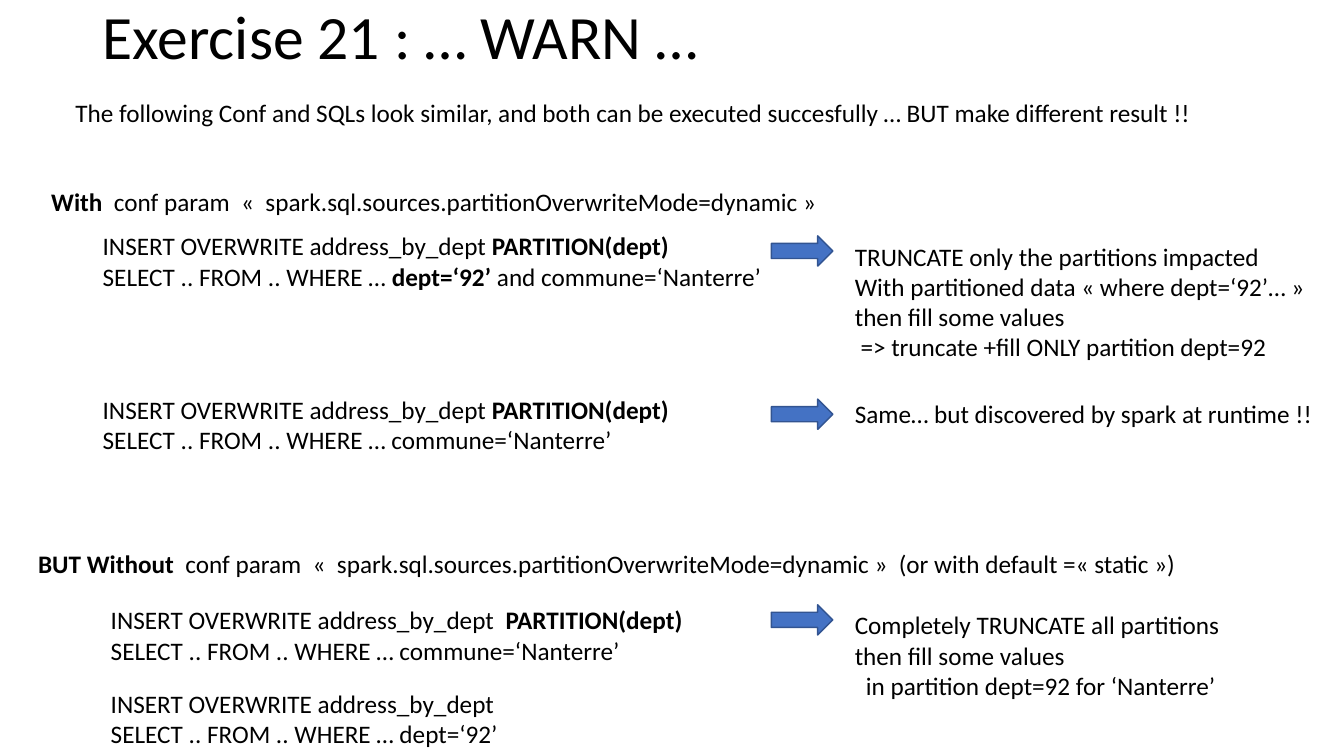
from pptx import Presentation
from pptx.dml.color import RGBColor
from pptx.enum.shapes import MSO_SHAPE
from pptx.enum.text import MSO_ANCHOR, MSO_AUTO_SIZE
from pptx.util import Inches, Pt

BLACK = RGBColor(0x00, 0x00, 0x00)
BLUE = RGBColor(0x44, 0x72, 0xC4)
DARK_BLUE = RGBColor(0x32, 0x54, 0x91)
ARROW = MSO_SHAPE.RIGHT_ARROW
MIDDLE = MSO_ANCHOR.MIDDLE
FIT_SHAPE = MSO_AUTO_SIZE.SHAPE_TO_FIT_TEXT

BODY = {"name": "Calibri", "size": Pt(18)}
TITLE = {"name": "Calibri", "size": Pt(44)}

INTRO = ("The following Conf and SQLs look similar, and both can be executed "
         "succesfully … BUT make different result !!")
CONF = "  conf param  «  spark.sql.sources.partitionOverwriteMode=dynamic »"
INSERT = "INSERT OVERWRITE address_by_dept"
SELECT = "SELECT .. FROM .. WHERE … "
BY_COMMUNE = SELECT + "commune=‘Nanterre’"

QUERIES = [
    (0.92, 2.24, 7.11, f"{INSERT} **PARTITION(dept)**\n"
                       f"{SELECT}**dept=‘92’** and commune=‘Nanterre’"),
    (0.92, 3.86, 7.11, f"{INSERT} **PARTITION(dept)**\n{BY_COMMUNE}"),
    (1, 5.95, 7.03, f"{INSERT}  **PARTITION(dept)**\n{BY_COMMUNE}"),
    (1, 6.78, 7.03, f"{INSERT}\n{SELECT}dept=‘92’"),
]
HEADINGS = [
    (0.65, 0.92, 11.34, INTRO),
    (0.41, 1.8, 7.86, f"**With**{CONF}"),
    (0.28, 5.39, 11.56, f"**BUT Without**{CONF}  (or with default =« static »)"),
]
RESULTS = [
    (2.34, 4.72, 1.31, ["TRUNCATE only the partitions impacted",
                        "With partitioned data « where dept=‘92’… »\n"
                        "then fill some values\n"
                        " => truncate +fill ONLY partition dept=92"]),
    (3.9, 4.79, 0.4, ["Same… but discovered by spark at runtime !!"]),
    (6, 3.86, 1.01, ["Completely TRUNCATE all partitions\nthen fill some values",
                     "in partition dept=92 for ‘Nanterre’"]),
]
ARROW_TOPS = (2.34, 3.96, 6)


def add_runs(p, text, style):
    """Write text with **bold** parts and line breaks into a paragraph."""
    for i, part in enumerate(text.split("**")):
        for j, line in enumerate(part.split("\n")):
            if j:
                p.add_line_break()
            if line:
                r = p.add_run()
                r.text = line
                r.font.color.rgb = BLACK
                for key, value in {**style, "bold": i % 2 == 1}.items():
                    setattr(r.font, key, value)


def add_text(s, box, paragraphs, wrap=True, style=BODY):
    """Add a text box with one or more paragraphs and return its frame."""
    tf = s.shapes.add_textbox(*map(Inches, box)).text_frame
    tf.word_wrap = wrap
    for i, text in enumerate(paragraphs):
        p = tf.add_paragraph() if i else tf.paragraphs[0]
        add_runs(p, text, style)
    tf.auto_size = FIT_SHAPE
    return tf


def add_title(s, text):
    """Add the slide title."""
    tf = add_text(s, (0.92, 0, 11.5, 0.78), [text], style=TITLE)
    tf.auto_size = MSO_AUTO_SIZE.NONE
    tf.vertical_anchor = MIDDLE
    tf.paragraphs[0].line_spacing = 0.9


def add_arrow(s, top):
    """Add a block arrow from a query to its result."""
    sp = s.shapes.add_shape(ARROW, *map(Inches, (7.65, top, 0.61, 0.3)))
    sp.shadow.inherit = False
    sp.fill.solid()
    sp.fill.fore_color.rgb = BLUE
    sp.line.color.rgb = DARK_BLUE
    sp.line.width = Pt(1)


def main():
    """Build the slide and save it."""
    prs = Presentation()
    prs.slide_width, prs.slide_height = Inches(13.33), Inches(7.5)
    s = prs.slides.add_slide(prs.slide_layouts[6])
    add_title(s, "Exercise 21 : … WARN …")
    for left, top, width, text in HEADINGS:
        add_text(s, (left, top, width, 0.4), [text], wrap=False)
    for left, top, width, text in QUERIES:
        add_text(s, (left, top, width, 0.71), [text])
    for top in ARROW_TOPS:
        add_arrow(s, top)
    for top, width, height, paragraphs in RESULTS:
        tf = add_text(s, (8.38, top, width, height), paragraphs, wrap=False)
    indent = str(Inches(0.11))
    tf.paragraphs[-1]._p.get_or_add_pPr().set("marL", indent)
    prs.save("out.pptx")


if __name__ == "__main__":
    main()
